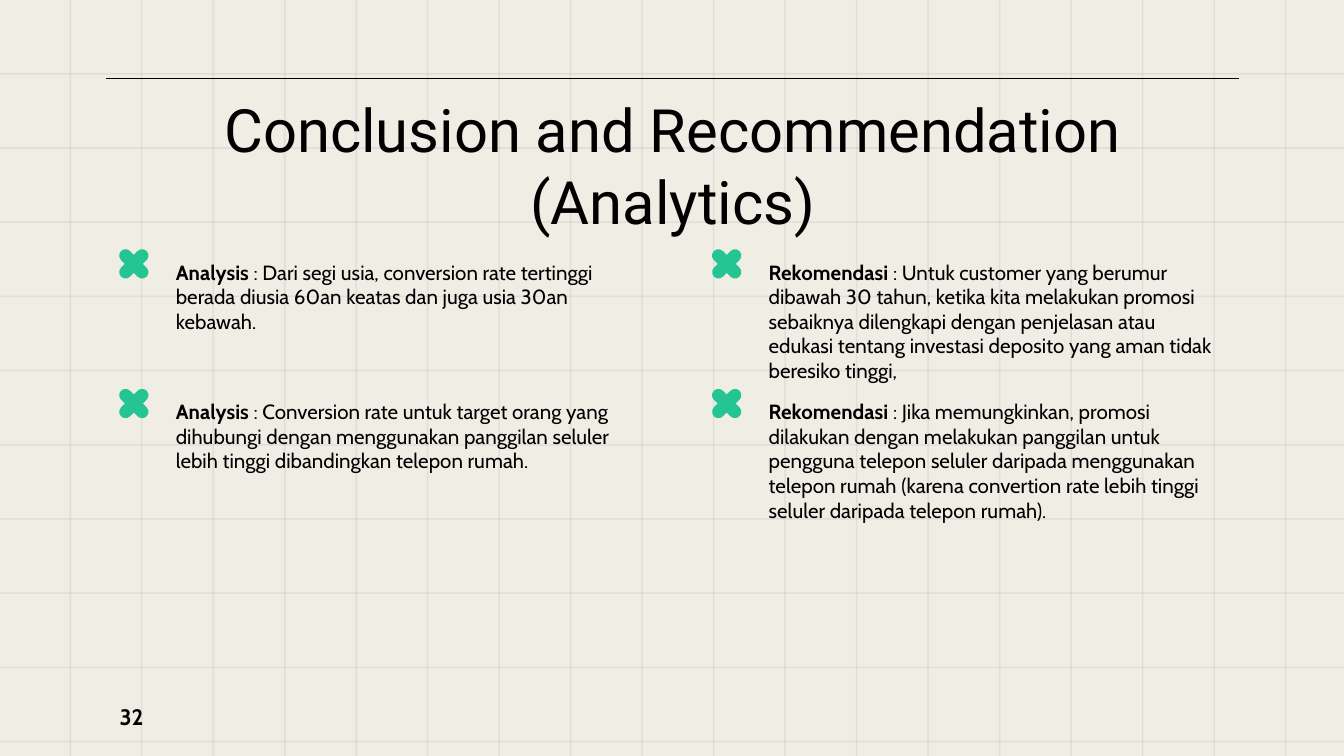
"""Build the conclusion and recommendation slide with its findings on a grid background."""
from dataclasses import dataclass

from lxml import etree
from pptx import Presentation
from pptx.dml.color import RGBColor
from pptx.enum.shapes import MSO_CONNECTOR, MSO_SHAPE
from pptx.enum.text import MSO_ANCHOR, MSO_AUTO_SIZE, PP_ALIGN
from pptx.oxml.ns import qn
from pptx.shapes.base import BaseShape
from pptx.slide import Slide
from pptx.text.text import TextFrame
from pptx.util import Pt

RECTANGLE = MSO_SHAPE.RECTANGLE
ROUNDED = MSO_SHAPE.ROUNDED_RECTANGLE
STRAIGHT = MSO_CONNECTOR.STRAIGHT
TOP, MIDDLE = MSO_ANCHOR.TOP, MSO_ANCHOR.MIDDLE
CENTER = PP_ALIGN.CENTER
NO_AUTOFIT = MSO_AUTO_SIZE.NONE

BLACK = RGBColor(0x00, 0x00, 0x00)
CREAM = RGBColor(0xF0, 0xED, 0xE5)
GREEN = RGBColor(0x25, 0xC5, 0x93)

TITLE_FONT, BODY_FONT = "Roboto", "Cabin"
LEFT_COLUMN, RIGHT_COLUMN = 87.1, 404.7
FIRST_ROW, SECOND_ROW = 131.8, 206.6
FIRST_HEIGHT, SECOND_HEIGHT = 241.2, 111.6


@dataclass(frozen=True)
class Box:
    left: float
    top: float
    width: float
    height: float


@dataclass(frozen=True)
class Finding:
    left: float
    top: float
    height: float
    label: str
    text: str


FINDINGS = (
    Finding(LEFT_COLUMN, FIRST_ROW, FIRST_HEIGHT, "Analysis",
            " : Dari segi usia, conversion rate tertinggi berada diusia 60an keatas "
            "dan juga usia 30an kebawah."),
    Finding(RIGHT_COLUMN, FIRST_ROW, FIRST_HEIGHT, "Rekomendasi",
            " : Untuk customer yang berumur dibawah 30 tahun, ketika kita melakukan "
            "promosi sebaiknya dilengkapi dengan penjelasan atau edukasi tentang "
            "investasi deposito yang aman tidak beresiko tinggi,"),
    Finding(LEFT_COLUMN, SECOND_ROW, SECOND_HEIGHT, "Analysis",
            " : Conversion rate untuk target orang yang dihubungi dengan menggunakan "
            "panggilan seluler lebih tinggi dibandingkan telepon rumah."),
    Finding(RIGHT_COLUMN, SECOND_ROW, SECOND_HEIGHT, "Rekomendasi",
            " : Jika memungkinkan, promosi dilakukan dengan melakukan panggilan untuk "
            "pengguna telepon seluler daripada menggunakan telepon rumah (karena "
            "convertion rate lebih tinggi seluler daripada telepon rumah)."),
)


def add_filled_shape(slide: Slide, kind: MSO_SHAPE, box: Box, color: RGBColor) -> BaseShape:
    shape = slide.shapes.add_shape(
        kind, Pt(box.left), Pt(box.top), Pt(box.width), Pt(box.height))
    shape.shadow.inherit = False
    shape.fill.solid()
    shape.fill.fore_color.rgb = color
    shape.line.fill.background()
    return shape


def add_grid(slide: Slide) -> None:
    columns = [Box(37.2 + 38.3 * index, -3.6, 0.9, 412.6) for index in range(18)]
    rows = [Box(-7.2, 39.1 + 39.75 * index, 734.4, 0.9) for index in range(10)]
    for box in columns + rows:
        shape = add_filled_shape(slide, RECTANGLE, box, BLACK)
        color = shape.fill._xPr.find(qn("a:solidFill"))[0]
        etree.SubElement(color, qn("a:alpha"), val="6000")


def add_rule(slide: Slide) -> None:
    rule = slide.shapes.add_connector(STRAIGHT, Pt(57), Pt(42.1), Pt(663.8), Pt(42.1))
    rule.line.color.rgb = BLACK
    rule.line.width = Pt(0.75)
    etree.SubElement(rule._element.spPr, qn("a:effectLst"))


def format_frame(frame: TextFrame, anchor: MSO_ANCHOR) -> None:
    frame.word_wrap = True
    frame.auto_size = NO_AUTOFIT
    frame.vertical_anchor = anchor
    frame.margin_left = frame.margin_right = Pt(7.2)
    frame.margin_top = frame.margin_bottom = Pt(7.2)


def add_text_box(slide: Slide, box: Box, anchor: MSO_ANCHOR, size: float,
                 label: str, text: str = "") -> None:
    shape = slide.shapes.add_textbox(
        Pt(box.left), Pt(box.top), Pt(box.width), Pt(box.height))
    format_frame(shape.text_frame, anchor)
    paragraph = shape.text_frame.paragraphs[0]
    paragraph.font.name = BODY_FONT
    paragraph.font.size = Pt(size)
    paragraph.font.color.rgb = BLACK
    for content, bold in ((label, True), (text, False)):
        if content:
            run = paragraph.add_run()
            run.text = content
            run.font.bold = bold


def add_cross(slide: Slide, center_x: float, center_y: float) -> None:
    for width, height in ((6.8, 19.4), (19.4, 6.8)):
        box = Box(center_x - width / 2, center_y - height / 2, width, height)
        bar = add_filled_shape(slide, ROUNDED, box, GREEN)
        bar.adjustments[0] = 0.5
        bar.rotation = 45


def add_finding(slide: Slide, finding: Finding) -> None:
    box = Box(finding.left, finding.top, 252.7, finding.height)
    add_text_box(slide, box, TOP, 11, finding.label, finding.text)
    add_cross(slide, finding.left - 15.4, finding.top + 9.6)


def place_title(slide: Slide) -> None:
    title = slide.shapes.title
    title.left, title.top, title.width, title.height = Pt(57), Pt(42.5), Pt(607), Pt(45.4)
    slide.shapes._spTree.append(title._element)
    title.text_frame.text = "Conclusion and Recommendation (Analytics)"
    format_frame(title.text_frame, TOP)
    paragraph = title.text_frame.paragraphs[0]
    paragraph.alignment = CENTER
    paragraph.font.name = TITLE_FONT
    paragraph.font.size = Pt(32)
    paragraph.font.color.rgb = BLACK


def main() -> None:
    presentation = Presentation()
    presentation.slide_width, presentation.slide_height = Pt(720), Pt(405)
    slide = presentation.slides.add_slide(presentation.slide_layouts[5])
    slide.background.fill.solid()
    slide.background.fill.fore_color.rgb = CREAM
    add_grid(slide)
    add_rule(slide)
    add_text_box(slide, Box(57, 368.2, 43.2, 31), MIDDLE, 12, "32")
    place_title(slide)
    for finding in FINDINGS:
        add_finding(slide, finding)
    presentation.save("out.pptx")


if __name__ == "__main__":
    main()
